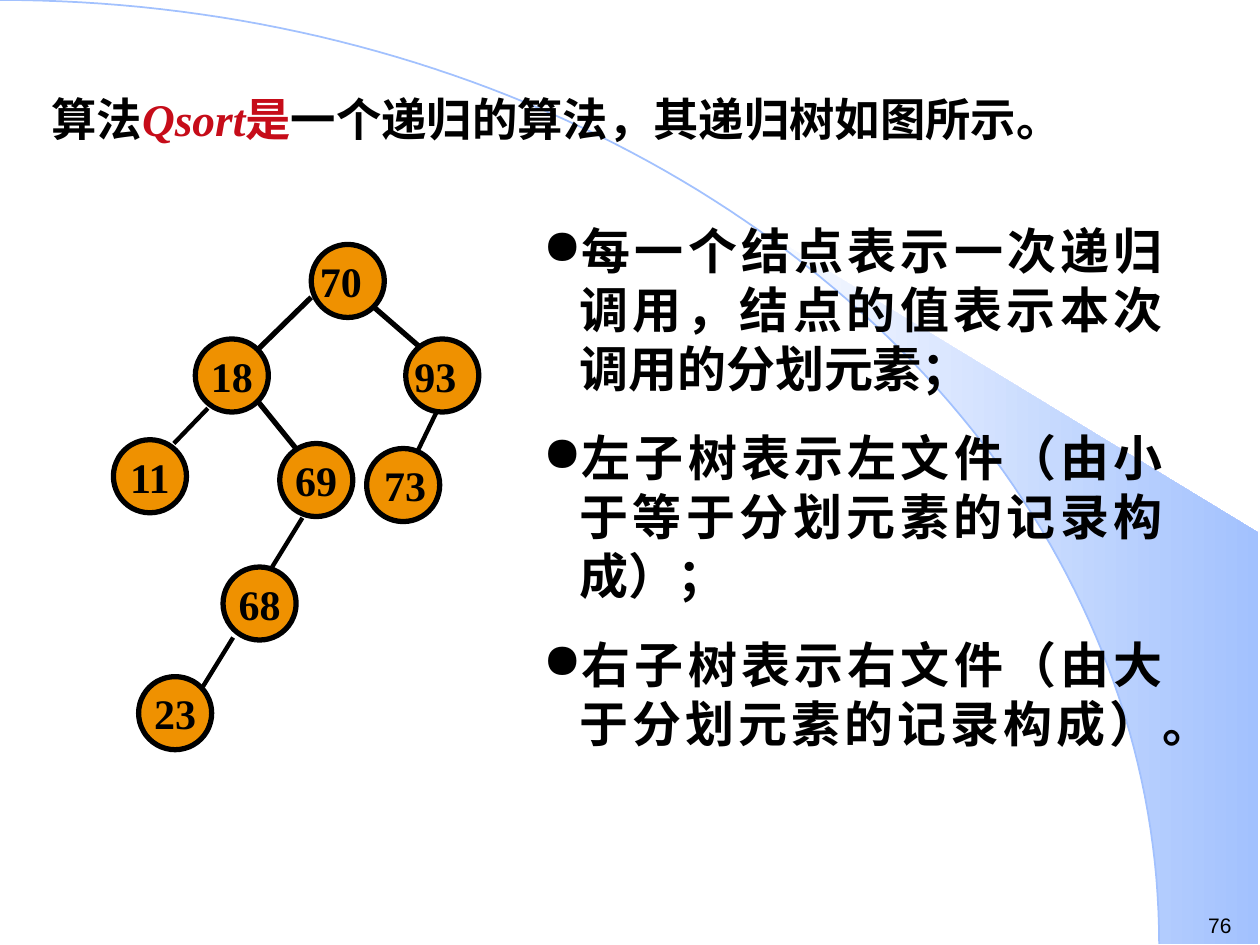
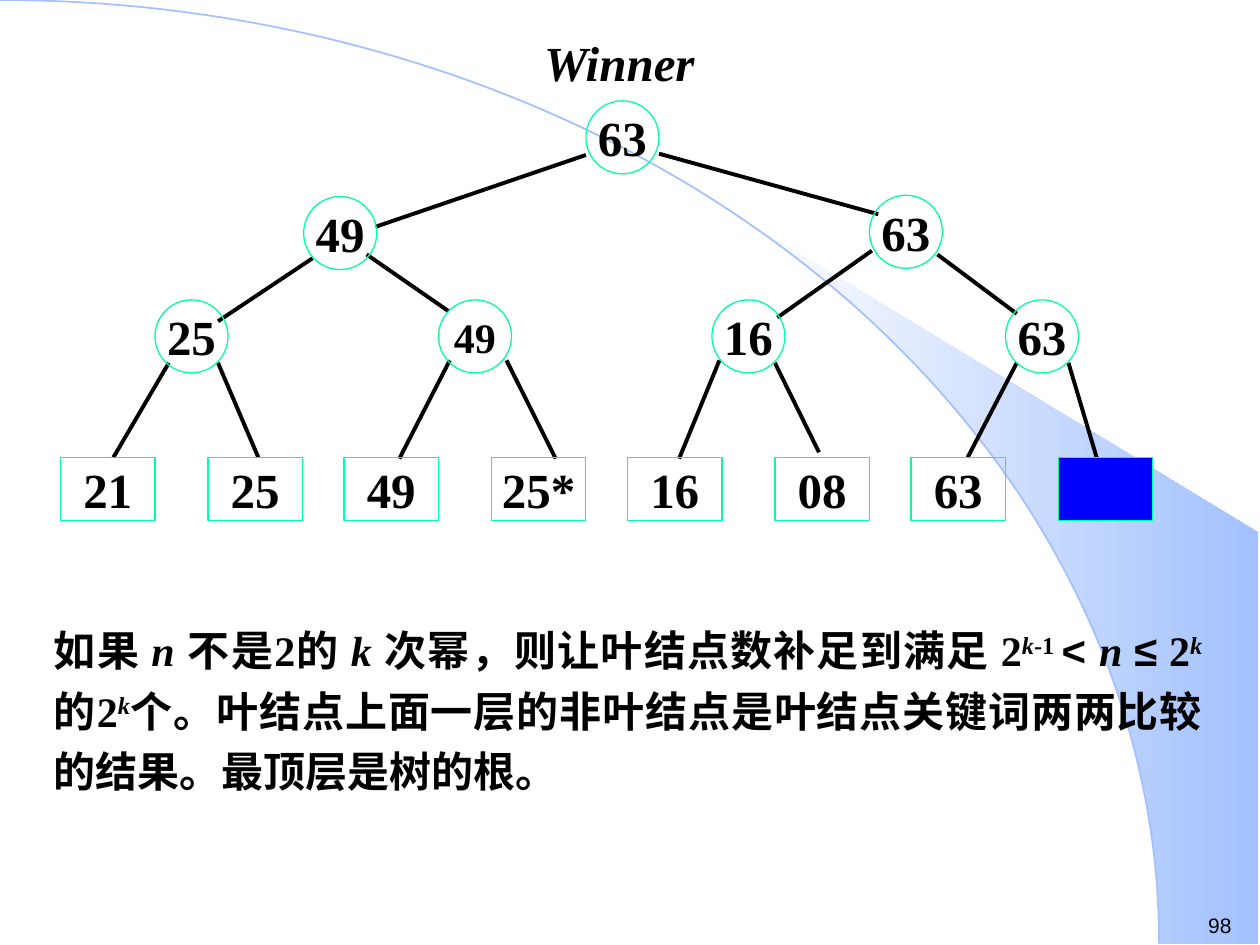
from dataclasses import dataclass
from math import asin, cos, pi, sin
from typing import Optional

from lxml import etree
from pptx import Presentation
from pptx.dml.color import RGBColor
from pptx.enum.shapes import MSO_CONNECTOR, MSO_SHAPE
from pptx.enum.text import MSO_ANCHOR, MSO_AUTO_SIZE, PP_ALIGN
from pptx.oxml.ns import qn
from pptx.util import Inches, Pt

WIDTH, HEIGHT = Inches(10), Inches(7.5)
COL, ROW = WIDTH / 100, HEIGHT / 75

BLACK = RGBColor(0, 0, 0)
WHITE = RGBColor(255, 255, 255)
SKY = RGBColor(0xA2, 0xC1, 0xFE)
RED = RGBColor(0xC6, 0x0C, 0x19)
AMBER = RGBColor(0xEF, 0x91, 0x00)
MINT = RGBColor(0x00, 0xFF, 0x9F)
BLUE = RGBColor(0, 0, 255)

SERIF, SANS, HAN = "Times New Roman", "Arial", "Noto Sans CJK SC"
OVAL, RECT = MSO_SHAPE.OVAL, MSO_SHAPE.RECTANGLE
STRAIGHT = MSO_CONNECTOR.STRAIGHT
CENTER, JUSTIFY = PP_ALIGN.CENTER, PP_ALIGN.JUSTIFY
MIDDLE = MSO_ANCHOR.MIDDLE
GROW = MSO_AUTO_SIZE.SHAPE_TO_FIT_TEXT

DIAM = 5.8
ARC_W, ARC_H = 92, 74.9
FAN_X = 58.9


@dataclass
class Run:
    text: str
    size: float = 24
    font: str = SERIF
    color: RGBColor = BLACK
    bold: bool = True
    italic: bool = False
    sup: bool = False


@dataclass
class Node:
    x: float
    y: float
    run: Optional[Run] = None
    form: int = OVAL
    w: float = DIAM
    h: float = DIAM


@dataclass
class Style:
    line: RGBColor
    width: float
    fill: Optional[RGBColor] = None


@dataclass
class Edge:
    x1: float
    y1: float
    x2: float
    y2: float
    width: float = 2.25


@dataclass
class Label:
    x: float
    y: float
    w: float
    h: float
    run: Run


def place(x: float, y: float) -> tuple[int, int]:
    return round(x * COL), round(y * ROW)


def add_run(para, item: Run) -> None:
    run = para.add_run()
    run.text = item.text
    font = run.font
    font.size, font.name = Pt(item.size), item.font
    font.bold, font.italic = item.bold, item.italic
    font.color.rgb = item.color
    props = run._r.get_or_add_rPr()
    etree.SubElement(props, qn("a:ea")).set("typeface", HAN)
    if item.sup:
        props.set("baseline", "30000")


def add_box(slide, x: float, y: float, w: float, h: float, wrap: bool = True):
    box = slide.shapes.add_textbox(*place(x, y), *place(w, h))
    frame = box.text_frame
    frame.word_wrap = wrap
    if not wrap:
        frame.auto_size = GROW
    return frame


def add_label(slide, item: Label) -> None:
    frame = add_box(slide, item.x, item.y, item.w, item.h, False)
    add_run(frame.paragraphs[0], item.run)


def add_node(slide, node: Node, style: Style) -> None:
    shape = slide.shapes.add_shape(node.form, *place(node.x, node.y), *place(node.w, node.h))
    shape.shadow.inherit = False
    if style.fill is None:
        shape.fill.background()
    else:
        shape.fill.solid()
        shape.fill.fore_color.rgb = style.fill
    shape.line.color.rgb = style.line
    shape.line.width = Pt(style.width)
    if node.run:
        frame = shape.text_frame
        frame.word_wrap = False
        frame.vertical_anchor = MIDDLE
        para = frame.paragraphs[0]
        para.alignment = CENTER
        add_run(para, node.run)


def add_edge(slide, edge: Edge) -> None:
    line = slide.shapes.add_connector(STRAIGHT, *place(edge.x1, edge.y1), *place(edge.x2, edge.y2))
    line.line.color.rgb = BLACK
    line.line.width = Pt(edge.width)
    etree.SubElement(line._element.spPr, qn("a:effectLst"))


def add_tree(slide, edges: list[Edge], nodes: list[Node], style: Style) -> None:
    for edge in edges:
        add_edge(slide, edge)
    for node in nodes:
        add_node(slide, node, style)


def arc(start: float, steps: int) -> list[tuple[int, int]]:
    turns = [start + (pi / 2 - start) * i / steps for i in range(steps + 1)]
    return [place(ARC_W * sin(t), ARC_H * (1 - cos(t))) for t in turns]


def add_path(slide, points: list[tuple[int, int]], close: bool):
    path = slide.shapes.build_freeform(*points[0])
    path.add_line_segments(points[1:], close=close)
    shape = path.convert_to_shape()
    shape.shadow.inherit = False
    return shape


def add_slide(deck, number: str):
    slide = deck.slides.add_slide(deck.slide_layouts[6])
    edge = [place(99.9, ARC_H), place(99.9, 42.3)]
    fan = add_path(slide, arc(asin(FAN_X / ARC_W), 30) + edge, True)
    fan.line.fill.background()
    fan.fill.gradient()
    fan.fill.gradient_angle = 0
    for stop, color, spot in zip(fan.fill.gradient_stops, (WHITE, SKY), (0, 1)):
        stop.color.rgb = color
        stop.position = spot
    curve = add_path(slide, arc(0, 90), False)
    curve.fill.background()
    curve.line.color.rgb = SKY
    curve.line.width = Pt(1)
    frame = add_box(slide, 94.9, 71.9, 5.1, 3)
    add_run(frame.paragraphs[0], Run(number, 12, SANS, bold=False))
    return slide


def add_bullet(para, text: str) -> None:
    para.alignment = JUSTIFY
    para.space_before = Pt(17.5)
    props = para._p.get_or_add_pPr()
    props.set("marL", str(Inches(0.29)))
    props.set("indent", str(-Inches(0.29)))
    tint = etree.SubElement(props, qn("a:buClr"))
    etree.SubElement(tint, qn("a:srgbClr")).set("val", str(BLACK))
    etree.SubElement(props, qn("a:buChar")).set("char", "●")
    add_run(para, Run(text, 28, HAN))


def draw_sort(deck) -> None:
    slide = add_slide(deck, "76")
    title = add_box(slide, 3.1, 7.6, 89, 6.3).paragraphs[0]
    title.line_spacing = 0.8
    title.space_before = Pt(7)
    for run in (
        Run("算法", 25.9),
        Run("Qsort", 25.9, color=RED, italic=True),
        Run("是", 25.9, color=RED),
        Run("一个递归的算法，其递归树如图所示。", 25.9),
    ):
        add_run(title, run)

    edges = [
        Edge(20.5, 31.9, 23.9, 36.1, 3),
        Edge(29.7, 24.4, 33.5, 27.7, 3),
        Edge(24.7, 23.6, 20.5, 27.7, 3),
        Edge(16.5, 32.4, 13.8, 35.2, 2.5),
        Edge(24, 41.1, 21.6, 45, 2.5),
        Edge(18.5, 50.6, 16.1, 54.5, 2.5),
        Edge(34.6, 32.8, 33.1, 35.9, 2.5),
    ]
    nodes = [
        Node(29.1, 35.6),
        Node(24.7, 19.4),
        Node(32.2, 26.9),
        Node(15.5, 26.9, Run("18")),
        Node(22.2, 35.2, Run("69")),
        Node(17.7, 45, Run("68")),
        Node(11, 53.7, Run("23")),
        Node(9, 34.9, Run("11")),
    ]
    add_tree(slide, edges, nodes, Style(BLACK, 3, AMBER))
    for x, y, text in ((24.4, 19.8, "70"), (31.9, 27.3, "93"), (29.5, 36, "73")):
        add_label(slide, Label(x, y, 5.3, 5, Run(text)))

    frame = add_box(slide, 42.1, 17, 51.2, 43.2)
    notes = (
        "每一个结点表示一次递归调用，结点的值表示本次调用的分划元素；",
        "左子树表示左文件（由小于等于分划元素的记录构成）；",
        "右子树表示右文件（由大于分划元素的记录构成）。",
    )
    for i, note in enumerate(notes):
        add_bullet(frame.add_paragraph() if i else frame.paragraphs[0], note)


def draw_match(deck) -> None:
    slide = add_slide(deck, "98")
    para = add_box(slide, 3.3, 48.3, 93.1, 21.5).paragraphs[0]
    para.alignment = JUSTIFY
    para.line_spacing = 1.2
    for run in (
        Run("如果 "),
        Run("n ", italic=True),
        Run("不是2的 "),
        Run("k ", italic=True),
        Run("次幂，则让叶结点数补足到满足 2"),
        Run("k", italic=True, sup=True),
        Run("-1 ", sup=True),
        Run("< ", font=SANS),
        Run("n ", italic=True),
        Run("≤", font=SANS),
        Run(" 2"),
        Run("k ", italic=True, sup=True),
        Run("的2"),
        Run("k", italic=True, sup=True),
        Run("个。叶结点上面一层的非叶结点是叶结点关键词两两比较的结果。最顶层是树的根。"),
    ):
        add_run(para, run)

    edges = [
        Edge(52.3, 12.2, 69.7, 17),
        Edge(29.8, 18, 46.5, 12.3),
        Edge(69.2, 19.9, 61.7, 25.2),
        Edge(29.1, 20.2, 35.6, 24.7),
        Edge(74.4, 20.2, 80.7, 24.9),
        Edge(24.8, 20.5, 17.3, 25.5),
        Edge(35.7, 28.6, 31.7, 36.4),
        Edge(57.1, 28.6, 53.9, 36.4),
        Edge(80.7, 28.8, 76.8, 36.3),
        Edge(84.8, 28.8, 87.3, 37.2),
        Edge(61.5, 28.8, 65, 35.9),
        Edge(40.2, 28.6, 44.1, 36.4),
        Edge(17.3, 28.8, 20.5, 36.3),
        Edge(13.4, 28.8, 9, 36.3),
    ]
    nodes = [
        Node(46.5, 8, Run("63", 28)),
        Node(24.1, 15.6, Run("49", 28)),
        Node(69, 15.5, Run("63", 28)),
        Node(12.3, 23.8, Run("25", 28)),
        Node(34.8, 23.8, Run("49")),
        Node(56.5, 23.8, Run("16", 28)),
        Node(79.8, 23.8, Run("63", 28)),
    ]
    leaves = [
        Node(4.8 + 22.5 * (i // 2) + 11.7 * (i % 2), 36.3, Run(text, 28), RECT, 7.5, 5)
        for i, text in enumerate(("21", "25", "49", "25*", "16", "08", "63"))
    ]
    add_tree(slide, edges, nodes + leaves, Style(MINT, 0.75))
    add_node(slide, Node(84, 36.3, None, RECT, 7.5, 5), Style(MINT, 0.75, BLUE))
    add_label(slide, Label(42.2, 2.1, 15, 5.7, Run("Winner", 28, italic=True)))


def main() -> None:
    deck = Presentation()
    deck.slide_width, deck.slide_height = WIDTH, HEIGHT
    draw_sort(deck)
    draw_match(deck)
    deck.save("out.pptx")


if __name__ == "__main__":
    main()
